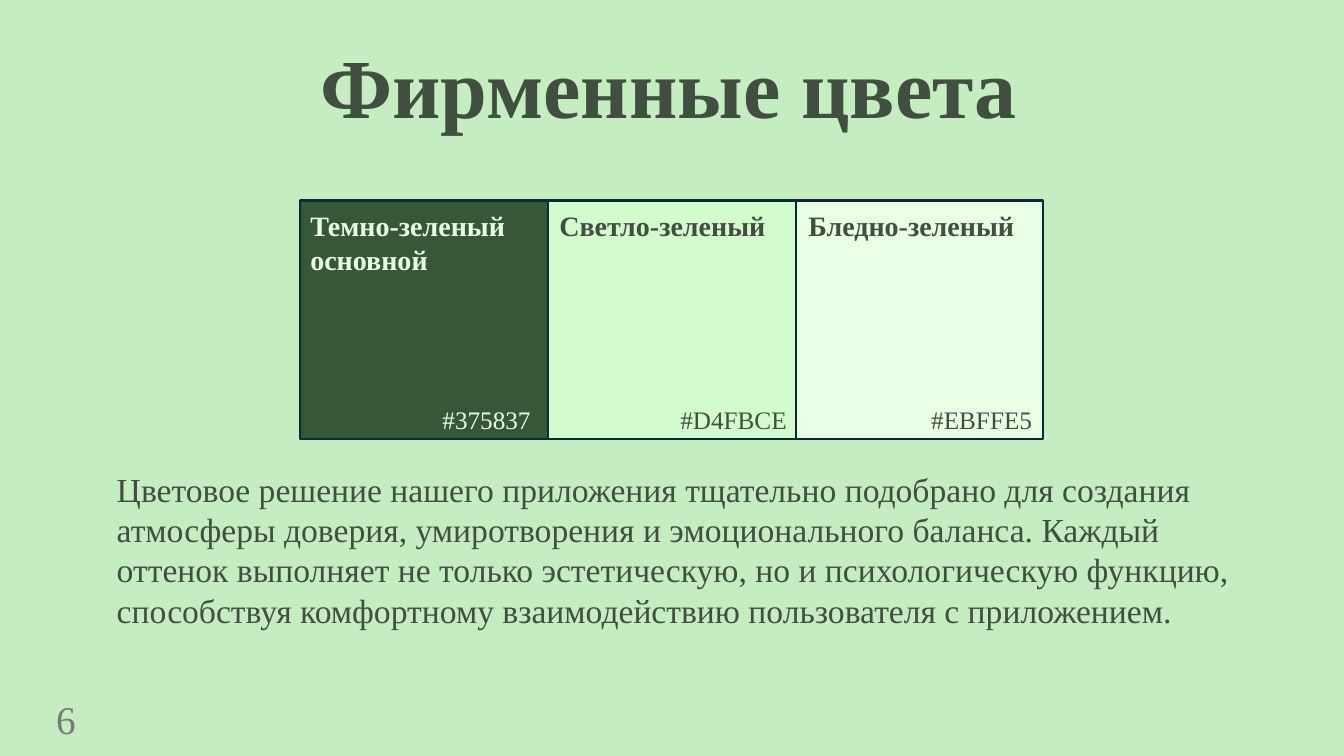
import pptx
import pptx.dml.color
import pptx.enum.shapes
import pptx.enum.text
import pptx.util

DARK_TEXT = "414F41"
PALE_GREEN = "EBFFE5"
OUTLINE = "092A39"


def color(hex_string):
    return pptx.dml.color.RGBColor.from_string(hex_string)


class SlideBuilder:
    """Draws on one slide; boxes are (left, top, width, height) in percent of the slide."""

    font_name = "Times New Roman"

    def __init__(self, presentation):
        self.presentation = presentation
        self.slide = presentation.slides.add_slide(presentation.slide_layouts[6])

    def place(self, box):
        """Turn percentages into slide lengths."""
        width, height = self.presentation.slide_width, self.presentation.slide_height
        return [int(share * side / 100) for share, side in zip(box, (width, height) * 2)]

    def background(self, fill):
        self.slide.background.fill.solid()
        self.slide.background.fill.fore_color.rgb = color(fill)

    def text(self, text, box, size, text_color=DARK_TEXT, bold=False, wrap=True,
             anchor=pptx.enum.text.MSO_ANCHOR.TOP):
        frame = self.slide.shapes.add_textbox(*self.place(box)).text_frame
        frame.word_wrap = wrap
        frame.vertical_anchor = anchor
        paragraph = frame.paragraphs[0]
        paragraph.text = text
        font = paragraph.font
        font.name = self.font_name
        font.size = pptx.util.Pt(size)
        font.bold = bold
        font.color.rgb = color(text_color)

    def rectangle(self, box, fill):
        shape = self.slide.shapes.add_shape(
            pptx.enum.shapes.MSO_SHAPE.RECTANGLE, *self.place(box))
        shape.shadow.inherit = False
        shape.fill.solid()
        shape.fill.fore_color.rgb = color(fill)
        shape.line.color.rgb = color(OUTLINE)
        shape.line.width = pptx.util.Pt(1.5)


def main():
    presentation = pptx.Presentation()
    presentation.slide_width = pptx.util.Inches(13.33)
    presentation.slide_height = pptx.util.Inches(7.5)
    builder = SlideBuilder(presentation)
    builder.background("C6EDC1")

    builder.text("Фирменные цвета", (23.1, 3.87, 53.86, 14.8), 60, bold=True, wrap=False)
    builder.text("6", (3.45, 92.4, 22.5, 5.33), 28, "797979",
                 anchor=pptx.enum.text.MSO_ANCHOR.MIDDLE)

    swatches = [
        # name, fill, text colour, left of the code
        ("Темно-зеленый основной", "375837", PALE_GREEN, 32.18),
        ("Светло-зеленый", "D4FBCE", DARK_TEXT, 49.88),
        ("Бледно-зеленый", PALE_GREEN, DARK_TEXT, 68.55),
    ]
    left, swatch_width, name_step = 22.35, 18.43, 18.53
    for index, (name, fill, text_color, code_left) in enumerate(swatches):
        builder.rectangle((left + index * swatch_width, 26.53, swatch_width, 31.6), fill)
        builder.text(name, (left + index * name_step, 26.93, swatch_width, 10.27),
                     20, text_color, bold=True)
        builder.text("#" + fill, (code_left, 52.8, 9.5, 5.33), 18, text_color)

    builder.text(
        "Цветовое решение нашего приложения тщательно подобрано для создания "
        "атмосферы доверия, умиротворения и эмоционального баланса. Каждый "
        "оттенок выполняет не только эстетическую, но и психологическую функцию, "
        "способствуя комфортному взаимодействию пользователя с приложением.",
        (7.95, 61.33, 84.25, 22.93), 24)
    presentation.save("out.pptx")


if __name__ == "__main__":
    main()
